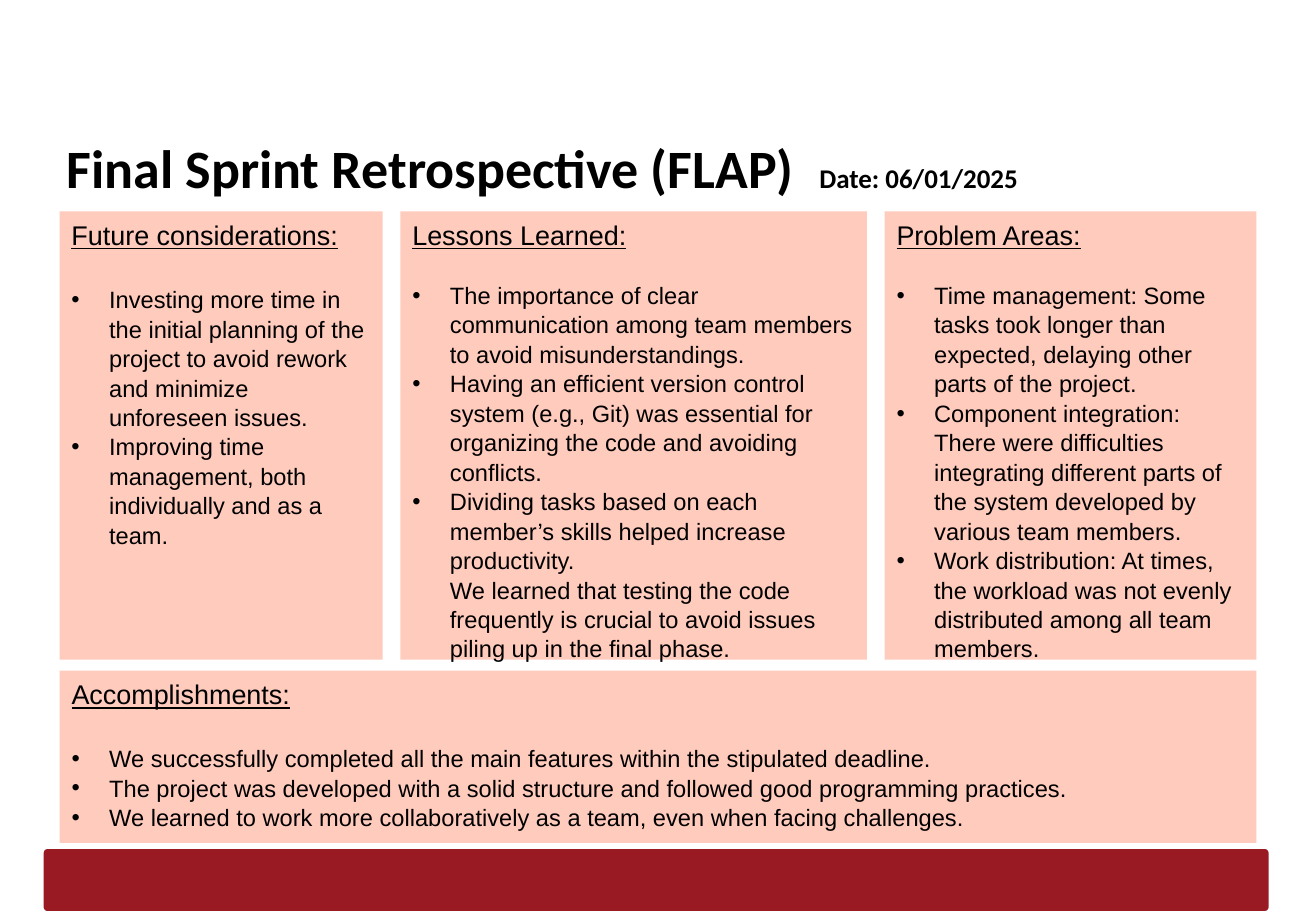
from copy import deepcopy

from lxml.etree import SubElement
from pptx import Presentation
from pptx.dml.color import RGBColor
from pptx.enum.shapes import MSO_SHAPE as Shape
from pptx.enum.text import MSO_ANCHOR as Anchor, PP_ALIGN as Align
from pptx.oxml.ns import qn
from pptx.util import Inches, Pt

COLOURS = {"bar": "9A1A24", "panel": "FFCBBD", "text": "000000"}
TEXT_COLOUR = RGBColor.from_string(COLOURS["text"])
HEADING = {"name": "Arial", "size": Pt(16), "underline": True}
BODY = {"name": "Arial", "size": Pt(14), "underline": False}
TITLE = {"name": "Calibri", "size": Pt(32), "bold": True}
DATE = {"name": "Calibri", "size": Pt(16), "bold": True}

# Grid in inches
LEFT, RIGHT, GAP = 0.49, 10.34, 0.145
COLUMN_WIDTHS = [2.66, 3.84, 3.06]
TOP_ROW = (1.74, 3.69)
BOTTOM_ROW = (5.52, 1.42)
BULLET_INDENT = Inches(0.31)

# Heading, space below the heading in points, bullet items
COLUMNS = [
    ("Future considerations:", 19.5, [
        "Investing more time in the initial planning of the project to avoid rework and minimize unforeseen issues.",
        "Improving time management, both individually and as a team.",
    ]),
    ("Lessons Learned:", 17, [
        "The importance of clear communication among team members to avoid misunderstandings.",
        "Having an efficient version control system (e.g., Git) was essential for organizing the code and avoiding conflicts.",
        "Dividing tasks based on each member’s skills helped increase productivity.\v"
        "We learned that testing the code frequently is crucial to avoid issues piling up in the final phase.",
    ]),
    ("Problem Areas:", 17, [
        "Time management: Some tasks took longer than expected, delaying other parts of the project.",
        "Component integration: There were difficulties integrating different parts of the system developed by various team members.",
        "Work distribution: At times, the workload was not evenly distributed among all team members.",
    ]),
]
ACCOMPLISHMENTS = ("Accomplishments:", 19.5, [
    "We successfully completed all the main features within the stipulated deadline.",
    "The project was developed with a solid structure and followed good programming practices.",
    "We learned to work more collaboratively as a team, even when facing challenges.",
])


def add_block(kind, left, top, width, height, colour):
    shape = slide.shapes.add_shape(kind, Inches(left), Inches(top), Inches(width), Inches(height))
    shape.shadow.inherit = False
    shape.fill.solid()
    shape.fill.fore_color.rgb = RGBColor.from_string(COLOURS[colour])
    shape.line.fill.background()
    return shape


def format_runs(runs, font_values):
    for run in runs:
        for name, value in font_values.items():
            setattr(run.font, name, value)
        run.font.color.rgb = TEXT_COLOUR


presentation = Presentation()
presentation.slide_width, presentation.slide_height = Inches(10.83), Inches(7.5)
slide = presentation.slides.add_slide(presentation.slide_layouts[6])

# Footer bar
bar = add_block(Shape.ROUNDED_RECTANGLE, 0.36, 6.99, 10.08, 0.51, "bar")
bar.adjustments[0] = 0.06

# Title and date
title = slide.shapes.add_textbox(Inches(0.45), Inches(1.01), Inches(9.89), Inches(0.63))
frame = title.text_frame
frame.word_wrap = True
frame.vertical_anchor = Anchor.TOP
for side in ("left", "top", "right", "bottom"):
    setattr(frame, f"margin_{side}", Inches(0.1))
for text, font_values in [("Final Sprint Retrospective (FLAP)  ", TITLE), ("Date: 06/01/2025", DATE)]:
    run = frame.paragraphs[0].add_run()
    run.text = text
    format_runs([run], font_values)

# Places of the panels: three columns above one full-width row
panels = []
left = LEFT
for width, content in zip(COLUMN_WIDTHS, COLUMNS):
    panels.append((left, width, TOP_ROW, content))
    left += width + GAP
panels.append((LEFT, RIGHT - LEFT, BOTTOM_ROW, ACCOMPLISHMENTS))

# Panels with headings and bullets
for left, width, (top, height), (heading, space_below, items) in panels:
    panel = add_block(Shape.RECTANGLE, left, top, width, height, "panel")
    frame = panel.text_frame
    frame.word_wrap = True
    frame.vertical_anchor = Anchor.TOP
    for index, text in enumerate([heading] + items):
        paragraph = frame.add_paragraph() if index else frame.paragraphs[0]
        paragraph.text = text
        paragraph.alignment = Align.LEFT
        paragraph.line_spacing = 1.04
        format_runs(paragraph.runs, BODY if index else HEADING)
        if index == 0:
            paragraph.space_after = Pt(space_below)
            continue
        properties = paragraph._p.get_or_add_pPr()
        properties.set("marL", str(BULLET_INDENT))
        properties.set("indent", str(-BULLET_INDENT))
        SubElement(properties, qn("a:buFont")).set("typeface", "Arial")
        SubElement(properties, qn("a:buChar")).set("char", "•")
        # A line break takes the size of the text before it
        for line_break in paragraph._p.findall(qn("a:br")):
            line_break.insert(0, deepcopy(paragraph.runs[0].font._element))

presentation.save("out.pptx")
